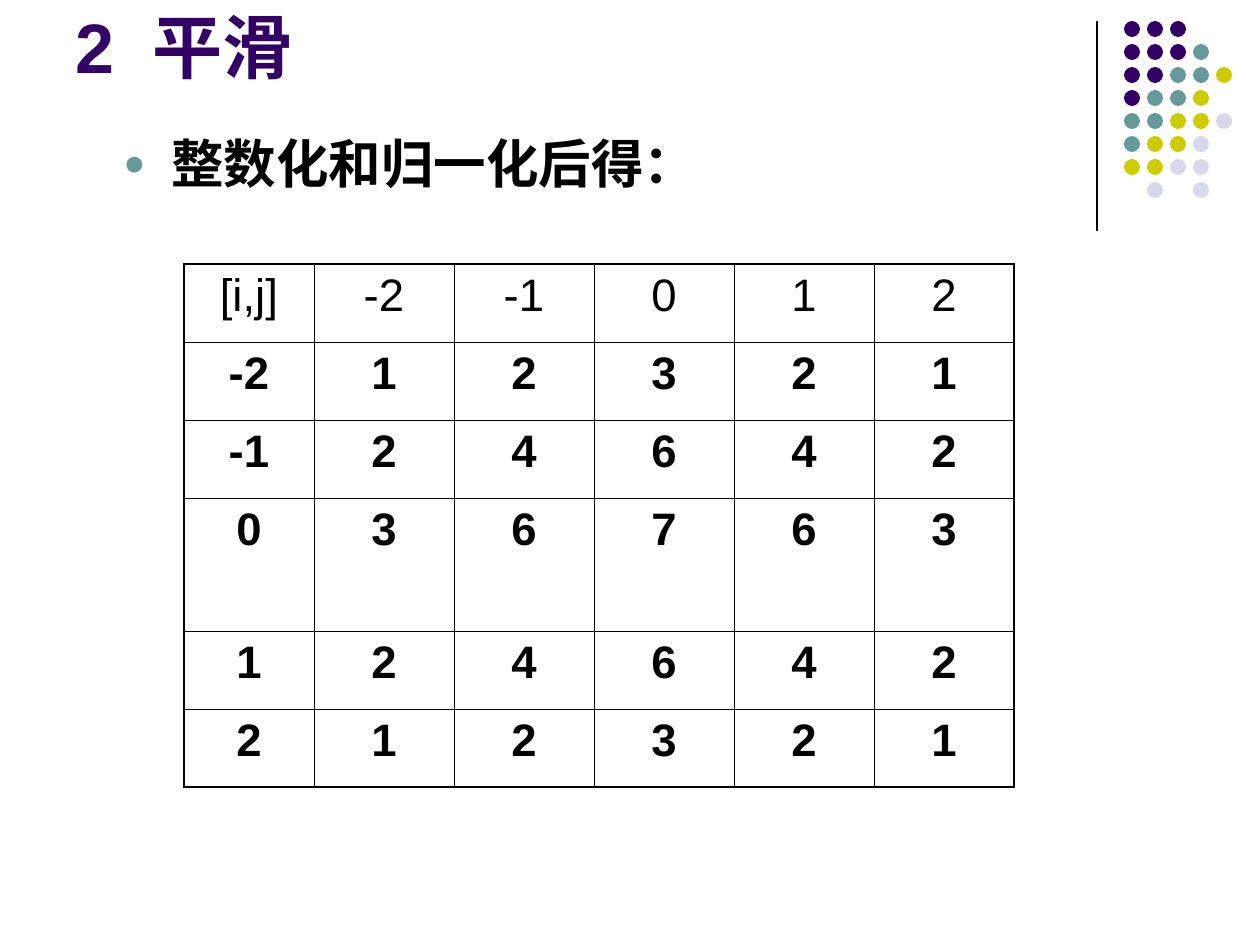
from dataclasses import dataclass

from lxml.etree import SubElement
from pptx import Presentation
from pptx.dml.color import RGBColor
from pptx.enum.shapes import MSO_CONNECTOR, MSO_SHAPE
from pptx.enum.text import MSO_ANCHOR, PP_ALIGN
from pptx.oxml.ns import qn
from pptx.util import Emu, Pt

EMU_PER_PX = 914400 / 126


def px(length):
    return Emu(round(length * EMU_PER_PX))


@dataclass(frozen=True)
class Theme:
    font: str = "Arial"
    ink: str = "000000"
    purple: str = "330066"
    teal: str = "669999"
    olive: str = "CCCC00"
    lilac: str = "D8D8EC"
    title_size: int = 40
    body_size: int = 30
    cell_size: int = 26
    rule_width: float = 0.75
    inner_border: float = 0.45
    outer_border: float = 1.08


class SlideBuilder:
    def __init__(self, page, theme):
        self.page = page
        self.theme = theme

    def style(self, para, size, color, bold=True):
        font = para.font
        font.name = self.theme.font
        font.size = Pt(size)
        font.bold = bold
        font.color.rgb = RGBColor.from_string(color)

    def text_box(self, left, top, width, height, text, anchor):
        """Add a wrapping text box and return its only paragraph."""
        box = self.page.shapes.add_textbox(px(left), px(top), px(width), px(height))
        frame = box.text_frame
        frame.word_wrap = True
        frame.vertical_anchor = anchor
        para = frame.paragraphs[0]
        para.add_run().text = text
        return para

    def title(self, left, top, width, height, number, heading, tab):
        """Add a numbered heading whose words start at the tab stop."""
        para = self.text_box(left, top, width, height, f"{number}\t{heading}",
                             MSO_ANCHOR.BOTTOM)
        stops = SubElement(para._p.get_or_add_pPr(), qn("a:tabLst"))
        SubElement(stops, qn("a:tab"), pos=str(px(tab)), algn="l")
        self.style(para, self.theme.title_size, self.theme.purple)

    def bullet(self, left, top, width, height, text, indent, hanging):
        para = self.text_box(left, top, width, height, text, MSO_ANCHOR.TOP)
        para.level = 1
        para.space_before = Pt(7.5)
        props = para._p.get_or_add_pPr()
        props.set("marL", str(px(indent)))
        props.set("indent", str(-px(hanging)))
        color = SubElement(props, qn("a:buClr"))
        SubElement(color, qn("a:srgbClr"), val=self.theme.teal)
        SubElement(props, qn("a:buSzPct"), val="70000")
        SubElement(props, qn("a:buFont"), typeface=self.theme.font)
        SubElement(props, qn("a:buChar"), char="●")
        self.style(para, self.theme.body_size, self.theme.ink)

    def vertical_rule(self, x, top, bottom):
        rule = self.page.shapes.add_connector(
            MSO_CONNECTOR.STRAIGHT, px(x), px(top), px(x), px(bottom))
        rule.line.width = Pt(self.theme.rule_width)
        rule.line.color.rgb = RGBColor.from_string(self.theme.ink)
        SubElement(rule._element.spPr, qn("a:effectLst"))

    def dot_pattern(self, left, top, pitch, size, pattern):
        """Draw one dot per letter: the letter picks the colour, a blank skips."""
        colors = {"P": self.theme.purple, "T": self.theme.teal,
                  "O": self.theme.olive, "L": self.theme.lilac}
        group = self.page.shapes.add_group_shape()
        for row, letters in enumerate(pattern):
            for column, letter in enumerate(letters):
                if letter not in colors:
                    continue
                dot = group.shapes.add_shape(
                    MSO_SHAPE.OVAL, px(left + column * pitch),
                    px(top + row * pitch), px(size), px(size))
                dot.shadow.inherit = False
                dot.fill.solid()
                dot.fill.fore_color.rgb = RGBColor.from_string(colors[letter])
                dot.line.fill.background()

    def cell_borders(self, cell, outer_sides):
        props = cell._tc.get_or_add_tcPr()
        for side in "LRTB":
            width = (self.theme.outer_border if side in outer_sides
                     else self.theme.inner_border)
            line = SubElement(props, qn(f"a:ln{side}"), w=str(Pt(width)))
            fill = SubElement(line, qn("a:solidFill"))
            SubElement(fill, qn("a:srgbClr"), val=self.theme.ink)

    def table(self, left, top, widths, heights, rows):
        frame = self.page.shapes.add_table(
            len(heights), len(widths), px(left), px(top),
            px(sum(widths)), px(sum(heights)))
        table = frame.table
        table.first_row = table.horz_banding = False
        for column, width in zip(table.columns, widths):
            column.width = px(width)
        for row, height in zip(table.rows, heights):
            row.height = px(height)
        last_row, last_column = len(heights) - 1, len(widths) - 1
        for r, values in enumerate(rows):
            for c, value in enumerate(values):
                cell = table.cell(r, c)
                edges = {"L": c == 0, "R": c == last_column,
                         "T": r == 0, "B": r == last_row}
                self.cell_borders(cell, [side for side in edges if edges[side]])
                cell.fill.background()
                cell.text = str(value)
                para = cell.text_frame.paragraphs[0]
                para.alignment = PP_ALIGN.CENTER
                para.space_before = Pt(6.5)
                self.style(para, self.theme.cell_size, self.theme.ink, bold=r > 0)


DOTS = ["PPP", "PPPT", "PPTTO", "PTTO", "TTOOL", "TOOL", "OOLL", " L L"]

OFFSETS = [-2, -1, 0, 1, 2]
KERNEL = [
    [1, 2, 3, 2, 1],
    [2, 4, 6, 4, 2],
    [3, 6, 7, 6, 3],
    [2, 4, 6, 4, 2],
    [1, 2, 3, 2, 1],
]


def main():
    deck = Presentation()
    deck.slide_width, deck.slide_height = px(1260), px(945)
    page = deck.slides.add_slide(deck.slide_layouts[6])
    builder = SlideBuilder(page, Theme())

    builder.vertical_rule(1097, 21, 231)
    builder.dot_pattern(1124, 21, 23, 16, DOTS)
    builder.title(63, 16, 1040, 78, "2", "平滑", tab=77)
    builder.bullet(63, 125, 1134, 794, "整数化和归一化后得：", indent=96, hanging=48)
    kernel_rows = [[offset, *weights] for offset, weights in zip(OFFSETS, KERNEL)]
    builder.table(184, 264, [130] + [140] * 5, [78, 78, 78, 133, 78, 78],
                  [["[i,j]", *OFFSETS], *kernel_rows])
    deck.save("out.pptx")


if __name__ == "__main__":
    main()
